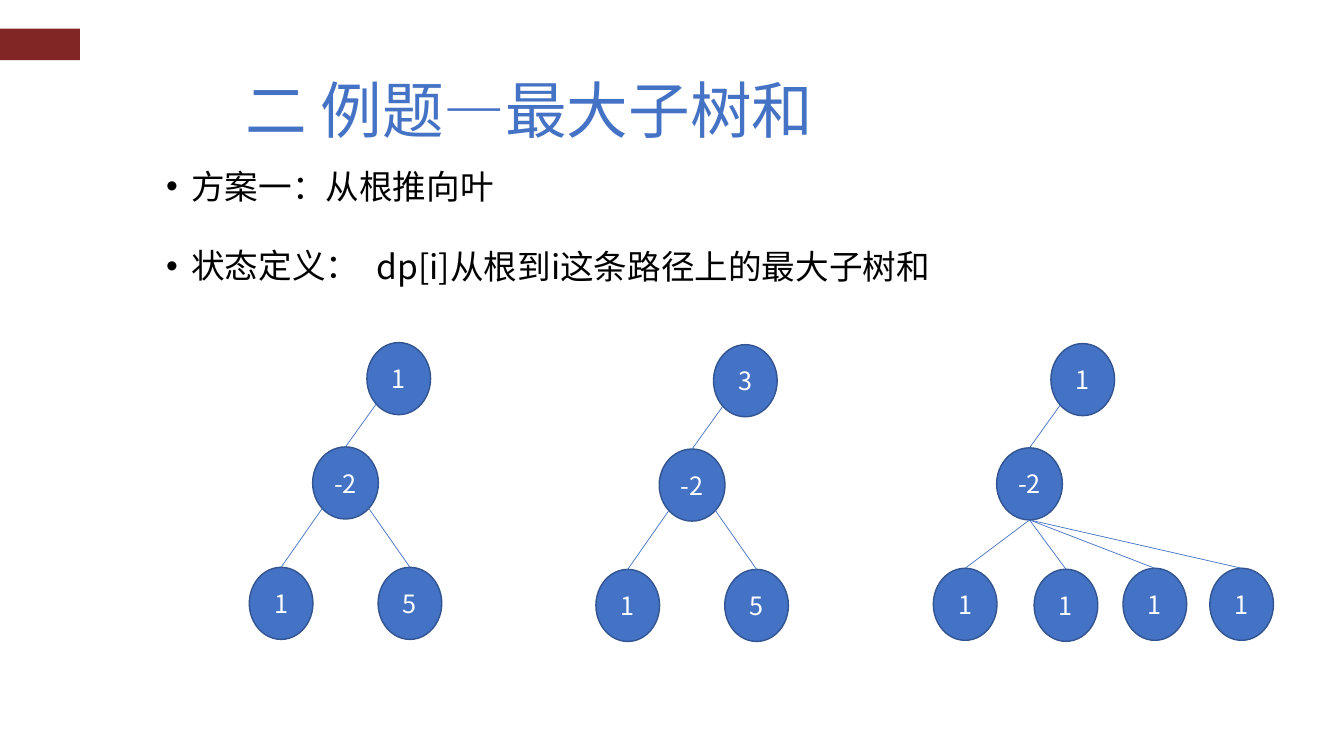
from dataclasses import dataclass

import lxml.etree
import pptx
import pptx.dml.color
import pptx.enum.shapes
import pptx.enum.text
import pptx.oxml.ns
import pptx.util

Pt = pptx.util.Pt
RGB = pptx.dml.color.RGBColor
qn = pptx.oxml.ns.qn
SHAPE = pptx.enum.shapes.MSO_SHAPE
ALIGN = pptx.enum.text.PP_ALIGN
ANCHOR = pptx.enum.text.MSO_ANCHOR

BLUE = RGB(0x44, 0x72, 0xC4)
NAVY = RGB(0x32, 0x54, 0x91)
RED = RGB(0x81, 0x26, 0x25)
BLACK = RGB(0, 0, 0)
WHITE = RGB(0xFF, 0xFF, 0xFF)
FONT = "Noto Sans CJK SC"

NODE_W, MID_W, NODE_H = 45.5, 47, 51.5
ROOT_DX, MID_DY, LEAF_DY = 38, 74.5, 160.5
DIAG = 0.5 ** 0.5


@dataclass
class Label:
    text: str
    left: float
    top: float
    width: float
    height: float
    size: float
    color: RGB
    space: float = 1.0
    bullet: bool = False


@dataclass
class Leaf:
    text: str
    dx: float
    dy: float = 0


@dataclass
class Tree:
    axis: float
    top: float
    root: str
    mid: str
    leaves: list[Leaf]
    fan: bool = False


LABELS = [
    Label("二 例题—最大子树和", 168, 47.5, 528.5, 60.5, 44, BLUE),
    Label("方案一：从根推向叶", 111.6, 118, 736.5, 57.5, 24, BLACK, 0.9, True),
    Label("状态定义：", 111.6, 175, 736.5, 57.5, 24, BLACK, 0.9, True),
    Label("dp[i]从根到i这条路径上的最大子树和", 262, 175.7, 474, 57.5, 24, BLACK, 0.9),
]
PAIR = [Leaf("1", -46), Leaf("5", 46)]
FOUR = [Leaf("1", -46), Leaf("1", 26, 0.7), Leaf("1", 89.5), Leaf("1", 151.5)]
TREES = [
    Tree(246.8, 244.7, "1", "-2", PAIR),
    Tree(494.4, 246.2, "3", "-2", PAIR),
    Tree(735.4, 245.4, "1", "-2", FOUR, True),
]


def add_run(para, text: str, size: float, color: RGB) -> None:
    run = para.add_run()
    run.text = text
    run.font.size = Pt(size)
    run.font.name = FONT
    run.font.color.rgb = color
    face = lxml.etree.SubElement(run.font._element, qn("a:ea"))
    face.set("typeface", FONT)


def add_label(slide, label: Label) -> None:
    box = slide.shapes.add_textbox(
        Pt(label.left), Pt(label.top), Pt(label.width), Pt(label.height))
    box.text_frame.word_wrap = True
    para = box.text_frame.paragraphs[0]
    para.line_spacing = label.space
    if label.bullet:
        props = para._p.get_or_add_pPr()
        props.set("marL", str(Pt(18)))
        props.set("indent", str(Pt(-18)))
        font = lxml.etree.SubElement(props, qn("a:buFont"))
        font.set("typeface", "Arial")
        mark = lxml.etree.SubElement(props, qn("a:buChar"))
        mark.set("char", "•")
    add_run(para, label.text, label.size, label.color)


def add_node(slide, text: str, mid_x: float, top: float, width: float = NODE_W):
    node = slide.shapes.add_shape(
        SHAPE.OVAL, Pt(mid_x - width / 2), Pt(top), Pt(width), Pt(NODE_H))
    node.shadow.inherit = False
    node.fill.solid()
    node.fill.fore_color.rgb = BLUE
    node.line.color.rgb = NAVY
    node.line.width = Pt(1)
    frame = node.text_frame
    frame.vertical_anchor = ANCHOR.MIDDLE
    para = frame.paragraphs[0]
    para.alignment = ALIGN.CENTER
    add_run(para, text, 18, WHITE)
    return node


def add_edge(slide, above, below, side: float, low: bool = False) -> None:
    mid_x = above.left + above.width / 2
    mid_y = above.top + above.height / 2
    x = int(mid_x + side * DIAG * above.width / 2)
    y = int(mid_y + DIAG * above.height / 2)
    edge = slide.shapes.add_connector(
        pptx.enum.shapes.MSO_CONNECTOR.STRAIGHT, x, y, x, y)
    if low:
        edge.begin_x, edge.begin_y = int(mid_x), above.top + above.height
    edge.end_connect(below, 0)
    edge.line.color.rgb = BLUE
    edge.line.width = Pt(0.5)
    lxml.etree.SubElement(edge._element.spPr, qn("a:effectLst"))


def add_tree(slide, tree: Tree) -> None:
    root = add_node(slide, tree.root, tree.axis + ROOT_DX, tree.top)
    mid = add_node(slide, tree.mid, tree.axis, tree.top + MID_DY, MID_W)
    add_edge(slide, root, mid, -1)
    for leaf in tree.leaves:
        node = add_node(slide, leaf.text, tree.axis + leaf.dx,
                        tree.top + LEAF_DY + leaf.dy)
        add_edge(slide, mid, node, math_sign(leaf.dx), tree.fan)


def math_sign(value: float) -> int:
    return 1 if value > 0 else -1


def main() -> None:
    deck = pptx.Presentation()
    deck.slide_width, deck.slide_height = Pt(960), Pt(540)
    slide = deck.slides.add_slide(deck.slide_layouts[6])
    bar = slide.shapes.add_shape(SHAPE.RECTANGLE, 0, Pt(20.4), Pt(57), Pt(22.6))
    bar.shadow.inherit = False
    bar.fill.solid()
    bar.fill.fore_color.rgb = RED
    bar.line.fill.background()
    for label in LABELS:
        add_label(slide, label)
    for tree in TREES:
        add_tree(slide, tree)
    deck.save("out.pptx")


if __name__ == "__main__":
    main()
